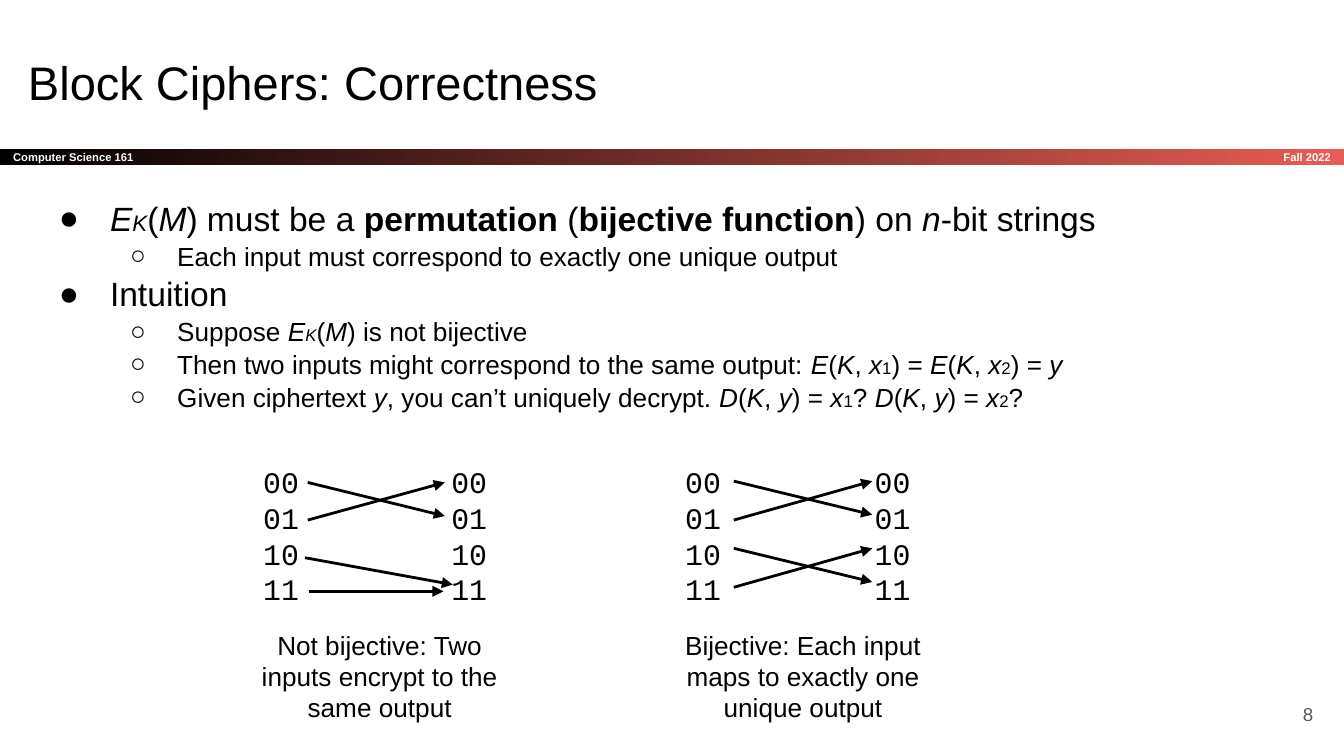
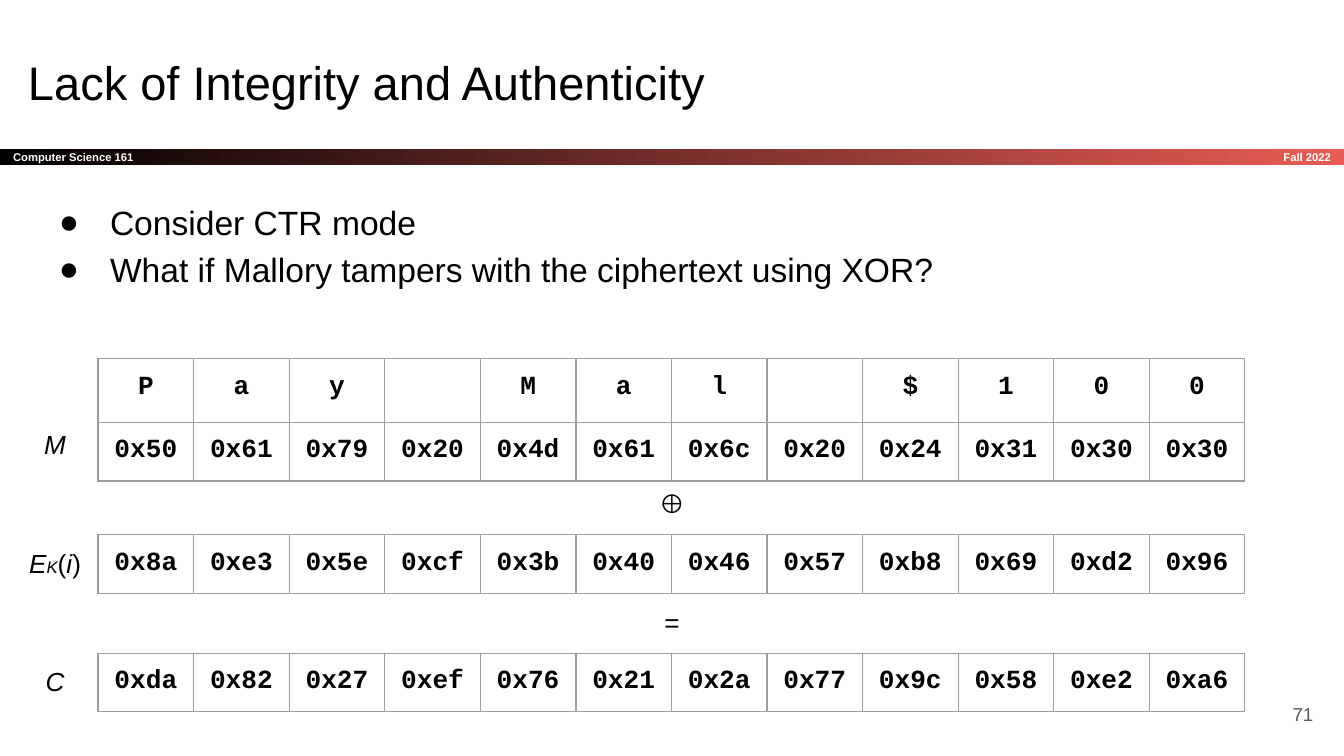
import pptx
import pptx.dml.color
import pptx.enum.shapes
import pptx.enum.text
import pptx.oxml
import pptx.oxml.ns
import pptx.util
from lxml import etree

RGB = pptx.dml.color.RGBColor
ALIGN = pptx.enum.text.PP_ALIGN
ANCHOR = pptx.enum.text.MSO_ANCHOR

BLACK = RGB(0x00, 0x00, 0x00)
WHITE = RGB(0xFF, 0xFF, 0xFF)
CORAL = RGB(0xE8, 0x5C, 0x54)
PAGE_GREY = RGB(0x59, 0x59, 0x59)
GRID_GREY = RGB(0x9E, 0x9E, 0x9E)
SANS, MONO = "Arial", "Courier New"

# Grid: 100 columns across, square cells
SLIDE_W, SLIDE_H = pptx.util.Inches(10), pptx.util.Inches(5.625)
CELL = SLIDE_W / 100
INSET = 1
BAND_TOP, BAND_H = 11.1, 1.2

# Bullet glyph, text size, left margin and hanging indent for each level
LEVELS = [("●", 18, 5, -3.8), ("○", 14, 10, -3.5)]
# Inline marks: ~ toggles italic, ^ toggles bold, _ toggles small index letters
MARKS = "~^_"
INDEX_SCALE = 0.65


def cells(*counts):
    return [round(count * CELL) for count in counts]


def make(tag, parent, **attributes):
    child = etree.SubElement(parent, pptx.oxml.ns.qn(tag))
    for key, value in attributes.items():
        child.set(key, str(value))
    return child


def write_marked(paragraph, text, size):
    active = dict.fromkeys(MARKS, False)
    pending = ""
    for letter in text + MARKS[0]:
        if letter not in MARKS:
            pending += letter
            continue
        if pending:
            run = paragraph.add_run()
            run.text = pending
            if active["~"]:
                run.font.italic = True
            if active["^"]:
                run.font.bold = True
            if active["_"]:
                run.font.size = pptx.util.Pt(round(size * INDEX_SCALE))
            pending = ""
        active[letter] = not active[letter]


def style(paragraph, size, face=SANS, color=BLACK, bold=None, align=None):
    paragraph.alignment = align
    paragraph.font.size = pptx.util.Pt(size)
    paragraph.font.name = face
    paragraph.font.color.rgb = color
    paragraph.font.bold = bold


def set_insets(frame, anchor=ANCHOR.TOP):
    frame.word_wrap = True
    frame.vertical_anchor = anchor
    (frame.margin_left, frame.margin_top,
     frame.margin_right, frame.margin_bottom) = cells(*[INSET] * 4)


def add_label(slide, box, lines, size, anchor=ANCHOR.TOP, **look):
    frame = slide.shapes.add_textbox(*cells(*box)).text_frame
    set_insets(frame, anchor)
    for index, line in enumerate(lines):
        paragraph = frame.add_paragraph() if index else frame.paragraphs[0]
        write_marked(paragraph, line, size)
        style(paragraph, size, **look)


def add_band(slide):
    band = slide.shapes.add_shape(
        pptx.enum.shapes.MSO_SHAPE.RECTANGLE, *cells(0, BAND_TOP, 100, BAND_H))
    band.shadow.inherit = False
    band.line.fill.background()
    band.fill.gradient()
    band.fill.gradient_angle = 0
    for stop, color, position in zip(band.fill.gradient_stops, (BLACK, CORAL), (0, 1)):
        stop.color.rgb = color
        stop.position = position
    set_insets(band.text_frame, ANCHOR.MIDDLE)
    course = band.text_frame.paragraphs[0]
    course.text = "Computer Science 161"
    style(course, 6, color=WHITE, bold=True, align=ALIGN.LEFT)
    add_label(slide, (83.4, BAND_TOP, 16.6, BAND_H), ["Fall 2022"], 6,
              ANCHOR.MIDDLE, color=WHITE, bold=True, align=ALIGN.RIGHT)


def add_base(deck, title, page):
    slide = deck.slides.add_slide(deck.slide_layouts[6])
    add_band(slide)
    add_label(slide, (1.1, 3, 93.2, 6.3), [title], 25.2)
    add_label(slide, (92.7, 51, 6, 4.3), [page], 10, ANCHOR.MIDDLE,
              color=PAGE_GREY, align=ALIGN.RIGHT)
    return slide


def add_bullets(slide, points, spacing):
    frame = slide.shapes.add_textbox(*cells(2.2, 13.6, 93.2, 18.3)).text_frame
    set_insets(frame)
    for index, (level, text) in enumerate(points):
        glyph, size, margin, hang = LEVELS[level]
        paragraph = frame.add_paragraph() if index else frame.paragraphs[0]
        paragraph.level = level
        properties = paragraph._p.get_or_add_pPr()
        left, indent = cells(margin, hang)
        properties.set("marL", str(left))
        properties.set("indent", str(indent))
        make("a:srgbClr", make("a:buClr", properties), val=BLACK)
        make("a:buFont", properties, typeface=SANS)
        make("a:buChar", properties, char=glyph)
        paragraph.line_spacing = spacing
        write_marked(paragraph, text, size)
        style(paragraph, size)


def add_arrow(slide, start, end):
    arrow = slide.shapes.add_connector(
        pptx.enum.shapes.MSO_CONNECTOR.STRAIGHT, *cells(*start, *end))
    arrow.line.color.rgb = BLACK
    arrow.line.width = pptx.util.Pt(1.5)
    make("a:tailEnd", arrow.line._get_or_add_ln(), type="triangle")
    make("a:effectLst", arrow._element.spPr)


def add_mapping(slide, left, gap, arrows, caption_left, caption):
    """Input and output columns of two-bit blocks, joined by arrows."""
    top = 33.5
    blocks = [f"{value:02b}" for value in range(4)]
    for x in (left, left + gap):
        add_label(slide, (x, top, 5.5, 12.8), blocks, 16, face=MONO)
    for x1, y1, x2, y2 in arrows:
        add_arrow(slide, (left + x1, top + y1), (left + x2, top + y2))
    add_label(slide, (caption_left, 45.8, 22.1, 9.1), [caption], 14, align=ALIGN.CENTER)


def add_byte_table(slide, top, rows, heights):
    count = len(rows[0])
    frame = slide.shapes.add_table(
        len(rows), count, *cells(7.3, top, 85.35, sum(heights)))
    table = frame.table
    table.first_row = table.horz_banding = False
    for column in table.columns:
        column.width = cells(85.35 / count)[0]
    for row, height, values in zip(table.rows, heights, rows):
        row.height = cells(height)[0]
        for cell, value in zip(row.cells, values):
            fill_byte(cell, value)


def fill_byte(cell, value):
    (cell.margin_left, cell.margin_top,
     cell.margin_right, cell.margin_bottom) = cells(*[INSET] * 4)
    properties = cell._tc.get_or_add_tcPr()
    for side in "LRTB":
        border = make(f"a:ln{side}", properties, w=pptx.util.Pt(0.75))
        make("a:srgbClr", make("a:solidFill", border), val=GRID_GREY)
    cell.fill.background()
    paragraph = cell.text_frame.paragraphs[0]
    if value:
        paragraph.text = value
    style(paragraph, 14, face=MONO, bold=True, align=ALIGN.CENTER)


def build_correctness(deck):
    slide = add_base(deck, "Block Ciphers: Correctness", "8")
    add_bullets(slide, [
        (0, "~E_K_~(~M~) must be a ^permutation^ (^bijective function^) on ~n~-bit strings"),
        (1, "Each input must correspond to exactly one unique output"),
        (0, "Intuition"),
        (1, "Suppose ~E_K_~(~M~) is not bijective"),
        (1, "Then two inputs might correspond to the same output: "
            "~E~(~K~, ~x~_1_) = ~E~(~K~, ~x~_2_) = ~y~"),
        (1, "Given ciphertext ~y~, you can’t uniquely decrypt. "
            "~D~(~K~, ~y~) = ~x~_1_? ~D~(~K~, ~y~) = ~x~_2_?"),
    ], 1.05)

    # Two inputs share the output 11
    collision = [(4.3, 2.4, 14.5, 4.9), (4.3, 5.2, 14.5, 2.4),
                 (4.1, 8, 15.1, 10), (4.4, 10.5, 14.4, 10.5)]
    add_mapping(slide, 18.6, 14, collision, 17.2,
                "Not bijective: Two inputs encrypt to the same output")

    # Each pair of inputs swaps its outputs
    swaps = [(4.6, y1 + shift, 14.9, y2 + shift)
             for shift in (0, 5) for y1, y2 in ((2.3, 4.8), (5.2, 2.3))]
    add_mapping(slide, 50, 14.1, swaps, 48.7,
                "Bijective: Each input maps to exactly one unique output")


def build_integrity(deck):
    slide = add_base(deck, "Lack of Integrity and Authenticity", "71")
    add_bullets(slide, [
        (0, "Consider CTR mode"),
        (0, "What if Mallory tampers with the ciphertext using XOR?"),
    ], 1.15)

    # Plaintext, keystream and ciphertext bytes
    message = "Pay Mal $100"
    plaintext = [ord(letter) for letter in message]
    keystream = bytes.fromhex("8ae35ecf3b404657b869d296")
    ciphertext = [m ^ k for m, k in zip(plaintext, keystream)]
    plain_row, key_row, cipher_row = [
        [f"0x{byte:02x}" for byte in row] for row in (plaintext, keystream, ciphertext)]
    letters = [letter.strip() for letter in message]
    add_byte_table(slide, 26.7, [letters, plain_row], [4.75, 4.3])
    add_byte_table(slide, 39.8, [key_row], [4.3])
    add_byte_table(slide, 48.6, [cipher_row], [4.3])

    # Row names and the operators between rows
    pitch = 8.8
    for index, name in enumerate(("~M~", "~E_K_~(~i~)", "~C~")):
        add_label(slide, (1.1, 30.9 + index * pitch, 6, 4.4), [name], 14, align=ALIGN.CENTER)
    for index, operator in enumerate("⊕="):
        add_label(slide, (47, 35.3 + index * pitch, 6, 4.4), [operator], 14, align=ALIGN.CENTER)


def main():
    deck = pptx.Presentation()
    deck.slide_width, deck.slide_height = SLIDE_W, SLIDE_H
    build_correctness(deck)
    build_integrity(deck)
    deck.save("out.pptx")


if __name__ == "__main__":
    main()
